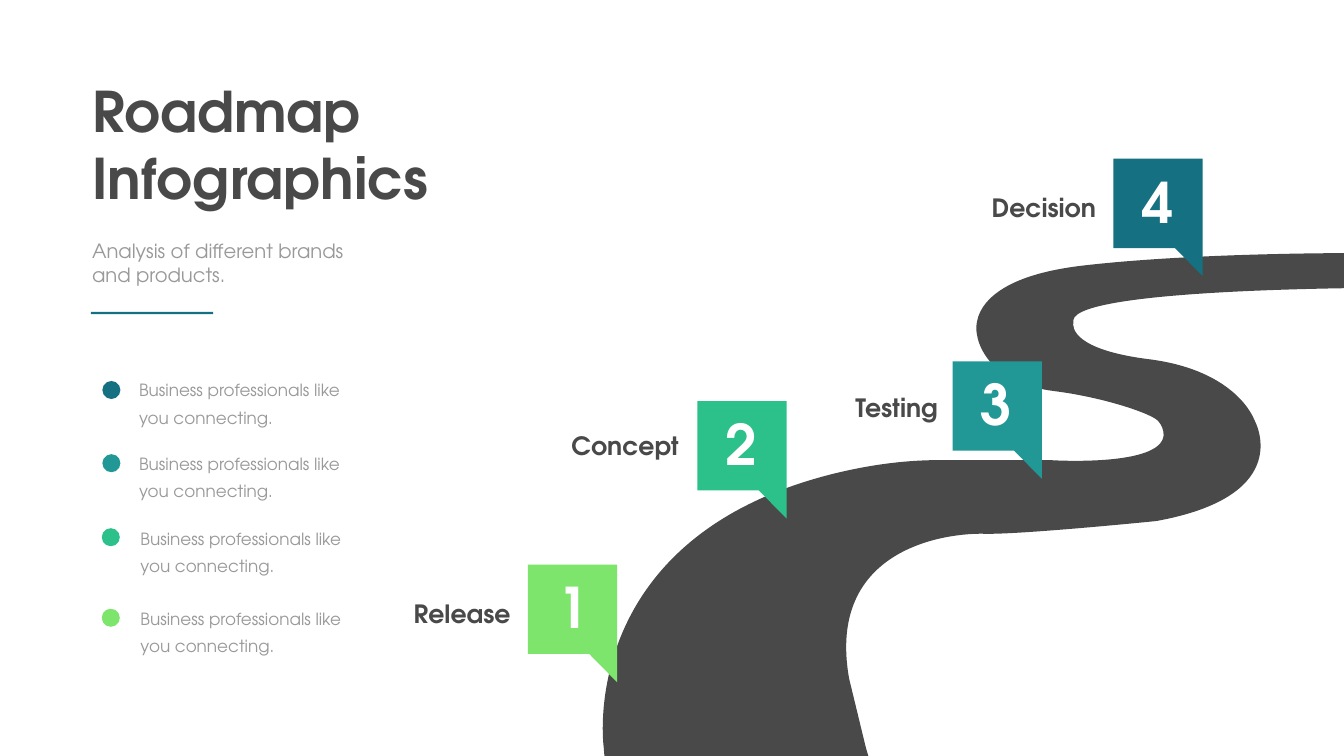
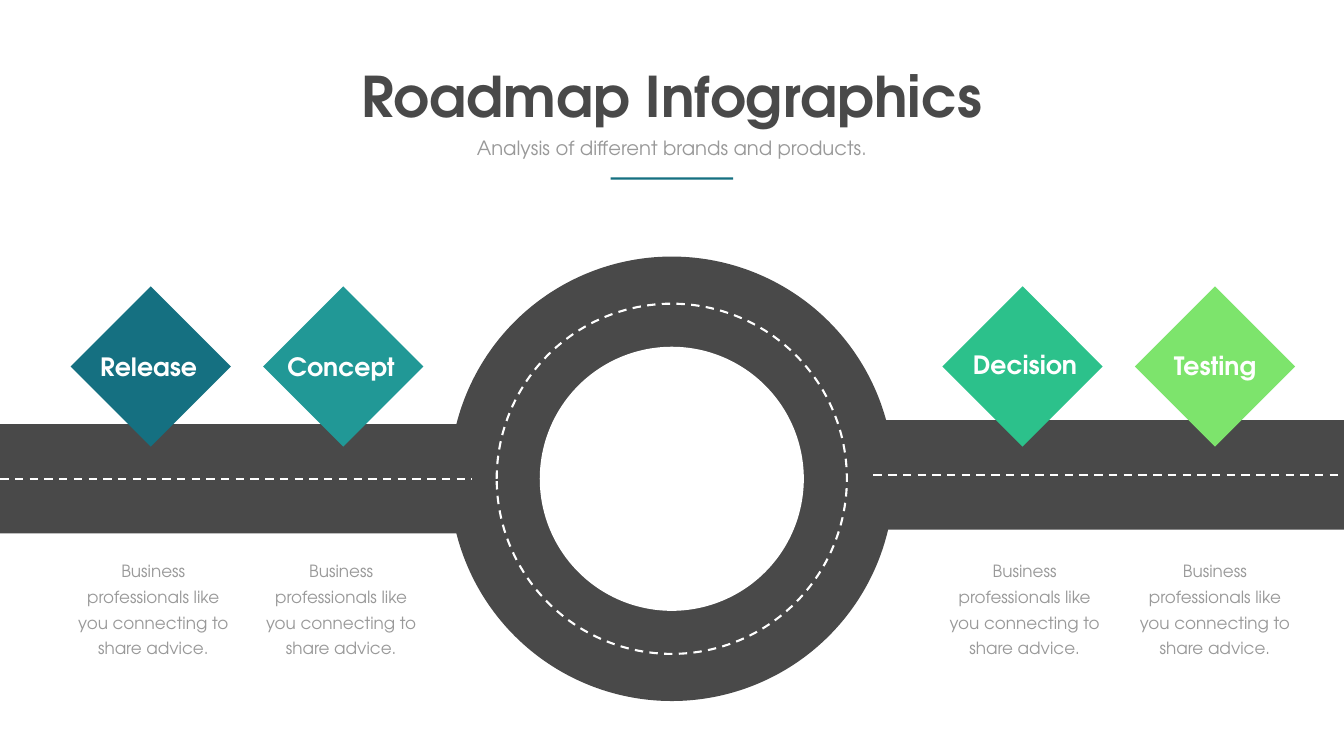
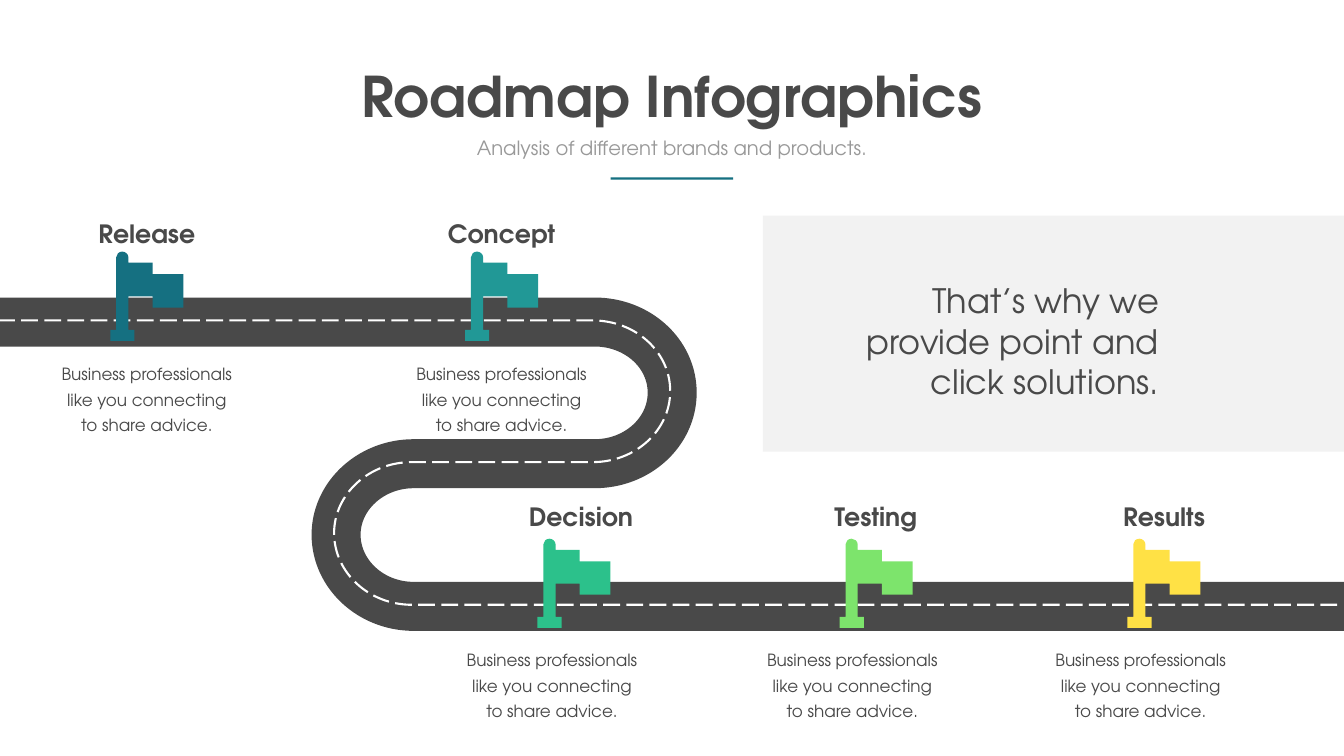
import pptx
import pptx.dml.color
import pptx.enum.dml
import pptx.enum.shapes
import pptx.enum.text
import pptx.oxml.ns
import pptx.util
from lxml import etree

Cm = pptx.util.Cm
Pt = pptx.util.Pt
qn = pptx.oxml.ns.qn
SHAPE = pptx.enum.shapes.MSO_SHAPE
ALIGN = pptx.enum.text.PP_ALIGN
DASH = pptx.enum.dml.MSO_LINE

FONT = "TeX Gyre Adventor"
DARK, GREY, WHITE, PANEL = "494949", "999999", "FFFFFF", "F2F2F2"
BLUE, TEAL, GREEN, LIME, YELLOW = "157081", "219896", "2CC18B", "7DE46C", "FFE145"

SUBTITLE = "Analysis of different brands and products."
SHORT_NOTE = "Business professionals like you connecting."
LONG_NOTE = "Business professionals like you connecting to share advice."

WINDING_ROAD = [
    (70.74, 12.78),
    (69.77, 12.73, 60.66, 12.67, 54.53, 13.39),
    (48.39, 14.12, 49.25, 16.89, 49.25, 16.89),
    (49.25, 16.89, 49.48, 19.25, 53.14, 19.71),
    (55.6, 20.02, 58.01, 20.83, 58.37, 21.21),
    (58.55, 21.41, 58.65, 21.67, 58.65, 21.92),
    (58.57, 23.55, 52.96, 23.19, 52.96, 23.19),
    (47.65, 23.19),
    (45.75, 23.16, 43.84, 23.42, 41.99, 23.88),
    (28.96, 27.13, 30.43, 37.67, 30.43, 37.67),
    (30.48, 38.28), (43.82, 38.28), (43.64, 37.67), (42.8, 34.21),
    (41.61, 27.56, 47.8, 26.85, 49.61, 26.9),
    (51.41, 26.95, 58.27, 26.26, 58.27, 26.26),
    (65.41, 24.97, 63.22, 21.16, 63.22, 21.16),
    (63.22, 21.16, 62.38, 18.69, 57.96, 18.11),
    (54.08, 17.63, 54.05, 16.51, 54.1, 16.23),
    (54.1, 16.2, 54.1, 16.15, 54.1, 16.13),
    (54.31, 14.45, 70.74, 14.5, 70.74, 14.5),
]
SERPENTINE = [
    (0, 16.23), (29.97, 16.23),
    (32.13, 16.23, 33.88, 17.81, 33.88, 19.79),
    (33.88, 21.77, 32.13, 23.37, 29.97, 23.37),
    (20.85, 23.37),
    (18.69, 23.37, 16.94, 24.99, 16.94, 26.95),
    (16.94, 28.93, 18.69, 30.56, 20.85, 30.56),
    (67.77, 30.56),
]
PIN = [(5.92, 0), (0, 0), (0, 4.5), (4.5, 4.5), (4.5, 1.4)]
FLAG = [
    (2.13, 1.14), (2.13, 0.56), (0.91, 0.56), (0.91, 0.28),
    (0.91, 0.13, 0.76, 0, 0.61, 0),
    (0.43, 0, 0.3, 0.13, 0.3, 0.28),
    (0.3, 3.94), (0, 3.94), (0, 4.5), (1.22, 4.5), (1.22, 3.94), (0.91, 3.94),
    (0.91, 2.26), (2.13, 2.26), (2.13, 2.82), (3.68, 2.82), (3.68, 1.14),
]


def color(code):
    """Turn a hex string into a colour."""
    return pptx.dml.color.RGBColor.from_string(code)


def stroke(line, code, width, dash):
    """Style a line or outline."""
    line.color.rgb = color(code)
    line.width = Pt(width)
    if dash:
        line.dash_style = dash


def paint(shape, fill=None, line=None, width=3, dash=None):
    """Set fill and outline of a shape and take away its shadow."""
    shape.shadow.inherit = False
    if fill:
        shape.fill.solid()
        shape.fill.fore_color.rgb = color(fill)
    else:
        shape.fill.background()
    if line:
        stroke(shape.line, line, width, dash)
    else:
        shape.line.fill.background()


def add_figure(page, kind, left, top, width, height, **style):
    """Add a painted preset shape."""
    shape = page.shapes.add_shape(kind, Cm(left), Cm(top), Cm(width), Cm(height))
    paint(shape, **style)


def add_circle(page, center_x, center_y, diameter, **style):
    """Add a circle around a centre point."""
    radius = diameter / 2
    add_figure(page, SHAPE.OVAL, center_x - radius, center_y - radius,
               diameter, diameter, **style)


def pairs(segment):
    """Split a flat segment into points."""
    return list(zip(segment[::2], segment[1::2]))


def flatten(path, steps=20):
    """Return points along a path, which give its true extent."""
    points = [path[0]]
    for segment in path[1:]:
        if len(segment) == 2:
            points.append(segment)
            continue
        knots = [points[-1]] + pairs(segment)
        for step in range(1, steps + 1):
            t = step / steps
            weights = ((1 - t) ** 3, 3 * t * (1 - t) ** 2, 3 * t * t * (1 - t), t ** 3)
            points.append(tuple(sum(weight * knot[axis] for weight, knot in zip(weights, knots))
                                for axis in (0, 1)))
    return points


def add_outline(page, path, left=0, top=0, close=True, **style):
    """Draw a path of lines and cubic curves, moved by left and top."""
    points = [(Cm(left + x), Cm(top + y)) for x, y in flatten(path)]
    builder = page.shapes.build_freeform(*points[0], scale=1.0)
    builder.add_line_segments(points[1:], close=close)
    shape = builder.convert_to_shape()
    outline = next(shape._element.iter(qn("a:path")))
    for part in list(outline):
        outline.remove(part)
    for index, segment in enumerate(path):
        tag = "a:moveTo" if index == 0 else "a:lnTo" if len(segment) == 2 else "a:cubicBezTo"
        part = etree.SubElement(outline, qn(tag))
        for x, y in pairs(segment):
            etree.SubElement(part, qn("a:pt"), x=str(Cm(left + x) - shape.left),
                             y=str(Cm(top + y) - shape.top))
    if close:
        etree.SubElement(outline, qn("a:close"))
    paint(shape, **style)
    return shape


def add_dashes(page, start, end, y):
    """Add a dashed white level lane line."""
    lane = page.shapes.add_connector(pptx.enum.shapes.MSO_CONNECTOR.STRAIGHT,
                                     Cm(start), Cm(y), Cm(end), Cm(y))
    stroke(lane.line, WHITE, 3, DASH.DASH)
    etree.SubElement(lane._element.spPr, qn("a:effectLst"))


def add_text(page, text, left, top, width, height, size, code=DARK, bold=False,
             align=ALIGN.LEFT, spacing=None, wrap=True):
    """Add a text box in one style."""
    box = page.shapes.add_textbox(Cm(left), Cm(top), Cm(width), Cm(height))
    frame = box.text_frame
    frame.text = text
    frame.word_wrap = wrap
    frame.auto_size = pptx.enum.text.MSO_AUTO_SIZE.SHAPE_TO_FIT_TEXT
    for para in frame.paragraphs:
        para.alignment = align
        if spacing:
            para.line_spacing = Pt(spacing)
        for span in para.runs:
            span.font.name = FONT
            span.font.size = Pt(size)
            span.font.bold = bold
            span.font.color.rgb = color(code)


def add_label(page, text, left, top, code=DARK, align=ALIGN.CENTER, height=1.8):
    """Add the bold name of a stage."""
    add_text(page, text, left, top, 7.26, height, 36, code, True, align)


def add_note(page, left, top, width, height, code):
    """Add the centred description of a stage."""
    add_text(page, LONG_NOTE, left, top, width, height, 24, code,
             align=ALIGN.CENTER, spacing=36.6)


def add_rule(page, left, top):
    """Add the short accent line below a subtitle."""
    add_figure(page, SHAPE.RECTANGLE, left, top, 6.17, 0.11, fill=BLUE)


def add_header(page):
    """Add the centred title, subtitle and accent line."""
    add_text(page, "Roadmap Infographics", 17.78, 2.97, 32.16, 3.68, 80, bold=True,
             align=ALIGN.CENTER, wrap=False)
    add_text(page, SUBTITLE, 21.72, 6.73, 24.28, 1.45, 28, GREY, align=ALIGN.CENTER)
    add_rule(page, 30.78, 8.94)


def add_pin(page, left, top, code):
    """Add a pin, drawn lying and turned upright."""
    add_outline(page, PIN, left - 0.71, top + 0.71, fill=code).rotation = 90


def build_winding_road(page):
    """Build the slide with numbered pins along a winding road."""
    add_outline(page, WINDING_ROAD, fill=DARK)
    add_text(page, "Roadmap\nInfographics", 4.39, 3.73, 18.03, 7.09, 80, bold=True)
    add_text(page, SUBTITLE, 4.39, 11.94, 13.56, 2.64, 28, GREY)
    add_rule(page, 4.58, 15.72)
    stages = [
        ("Release", LIME, 26.6, 28.46, 18.72, 30.01, 27.81, 28.73),
        ("Concept", GREEN, 35.15, 20.22, 27.2, 21.56, 36.32, 20.52),
        ("Testing", TEAL, 48.01, 18.21, 40.26, 19.63, 49.15, 18.49),
        ("Decision", BLUE, 56.12, 8.0, 48.23, 9.58, 57.33, 8.33),
    ]
    for number, stage in enumerate(stages, 1):
        name, code, left, top, label_left, label_top, number_left, number_top = stage
        add_pin(page, left, top, code)
        add_label(page, name, label_left, label_top, align=ALIGN.RIGHT)
        add_text(page, str(number), number_left, number_top, 2.11, 3.68, 80, WHITE, True,
                 ALIGN.CENTER, wrap=False)
    bullets = [
        (BLUE, 5.16, 19.2, 6.76, 18.69),
        (TEAL, 5.16, 22.89, 6.76, 22.4),
        (GREEN, 5.13, 26.62, 6.83, 26.17),
        (LIME, 5.13, 30.68, 6.83, 30.23),
    ]
    for code, dot_left, dot_top, left, top in bullets:
        add_figure(page, SHAPE.OVAL, dot_left, dot_top, 0.91, 0.91, fill=code)
        add_text(page, SHORT_NOTE, left, top, 11.13, 2.87, 24, GREY, spacing=38.6)


def build_roundabout(page):
    """Build the slide with diamonds beside a roundabout."""
    add_header(page)
    for left, top in ((0, 21.37), (42.77, 21.18)):
        add_figure(page, SHAPE.RECTANGLE, left, top, 25.04, 5.51, fill=DARK)
    add_circle(page, 33.86, 24.13, 22.4, fill=DARK)
    add_circle(page, 33.86, 24.13, 13.31, fill=WHITE)
    add_circle(page, 33.86, 24.13, 17.65, line=WHITE, dash=DASH.DASH)
    add_dashes(page, 44.02, 67.79, 23.93)
    add_dashes(page, 0.01, 23.78, 24.13)
    stages = [
        ("Release", BLUE, 3.56, 3.86, 17.58, 3.56),
        ("Concept", TEAL, 13.26, 13.56, 17.58, 13.03),
        ("Decision", GREEN, 47.5, 48.03, 17.48, 47.48),
        ("Testing", LIME, 57.2, 57.61, 17.53, 57.07),
    ]
    for name, code, left, label_left, label_top, note_left in stages:
        add_figure(page, SHAPE.DIAMOND, left, 14.43, 8.08, 8.08, fill=code)
        add_label(page, name, label_left, label_top, WHITE)
        add_note(page, note_left, 27.88, 8.33, 5.38, GREY)


def build_serpentine(page):
    """Build the slide with flags along a serpentine road."""
    add_figure(page, SHAPE.RECTANGLE, 38.45, 10.87, 29.31, 11.89, fill=PANEL)
    add_header(page)
    add_outline(page, SERPENTINE, close=False, line=DARK, width=70)
    add_outline(page, SERPENTINE, -0.1, -0.08, close=False, line=WHITE, dash=DASH.LONG_DASH)
    upper, lower = (12.68, 10.87, 17.93), (27.15, 25.16, 32.35)
    stages = [
        ("Release", BLUE, upper, 5.56, 3.77, 2.69),
        ("Concept", TEAL, upper, 23.44, 21.65, 20.57),
        ("Decision", GREEN, lower, 27.09, 25.65, 23.11),
        ("Testing", LIME, lower, 42.32, 40.51, 38.25),
        ("Results", YELLOW, lower, 56.82, 55.04, 52.78),
    ]
    for name, code, (flag_top, label_top, note_top), flag_left, label_left, note_left in stages:
        add_outline(page, FLAG, flag_left, flag_top, fill=code)
        add_label(page, name, label_left, label_top, height=1.65)
        add_note(page, note_left, note_top, 9.42, 3.71, DARK)
    add_text(page, "That’s why we provide point and click solutions.",
             42.78, 14.0, 15.88, 6.4, 48, align=ALIGN.RIGHT)


def main():
    """Build and save the deck."""
    deck = pptx.Presentation()
    deck.slide_width, deck.slide_height = Cm(67.74), Cm(38.1)
    for build in (build_winding_road, build_roundabout, build_serpentine):
        build(deck.slides.add_slide(deck.slide_layouts[6]))
    deck.save("out.pptx")


if __name__ == "__main__":
    main()
